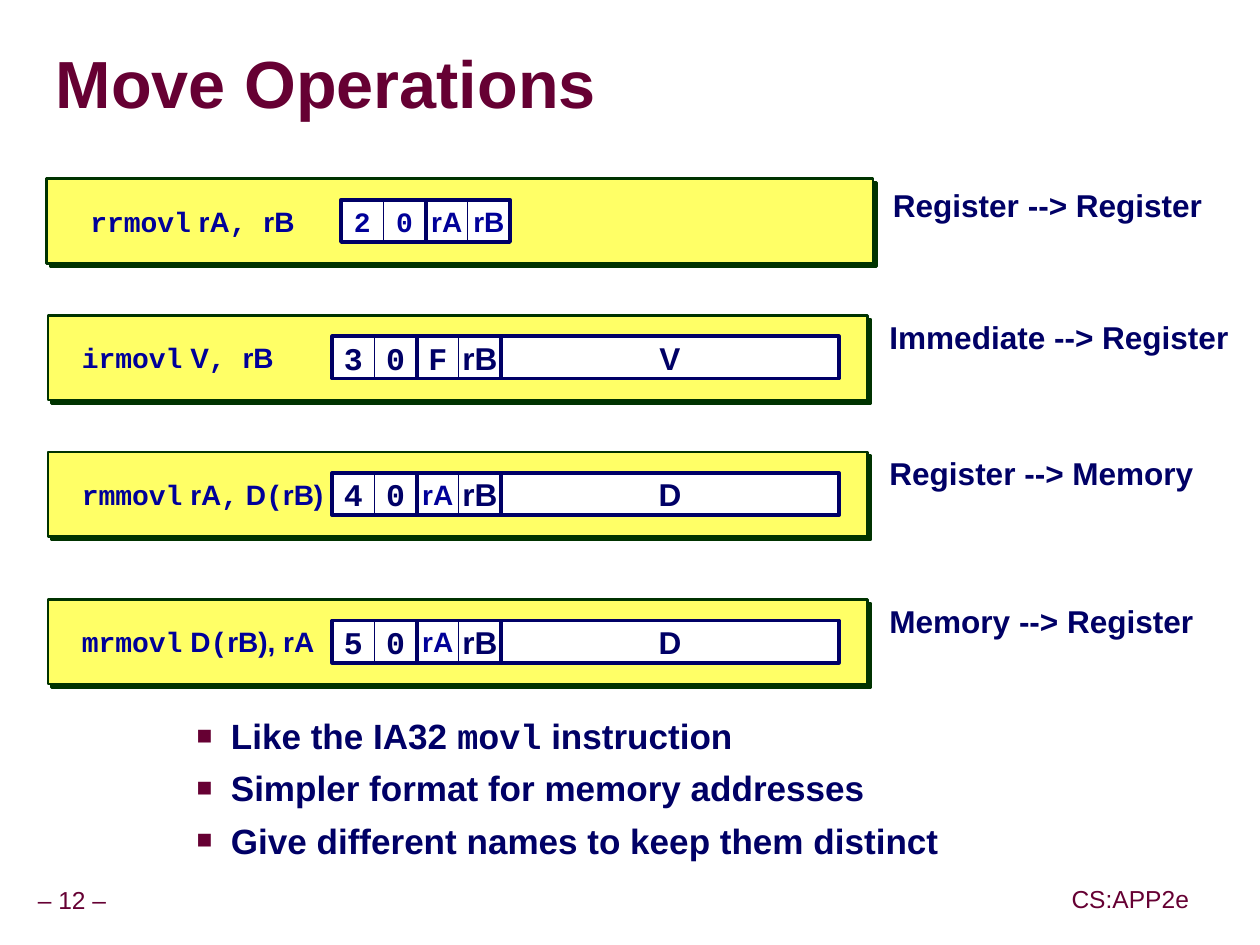
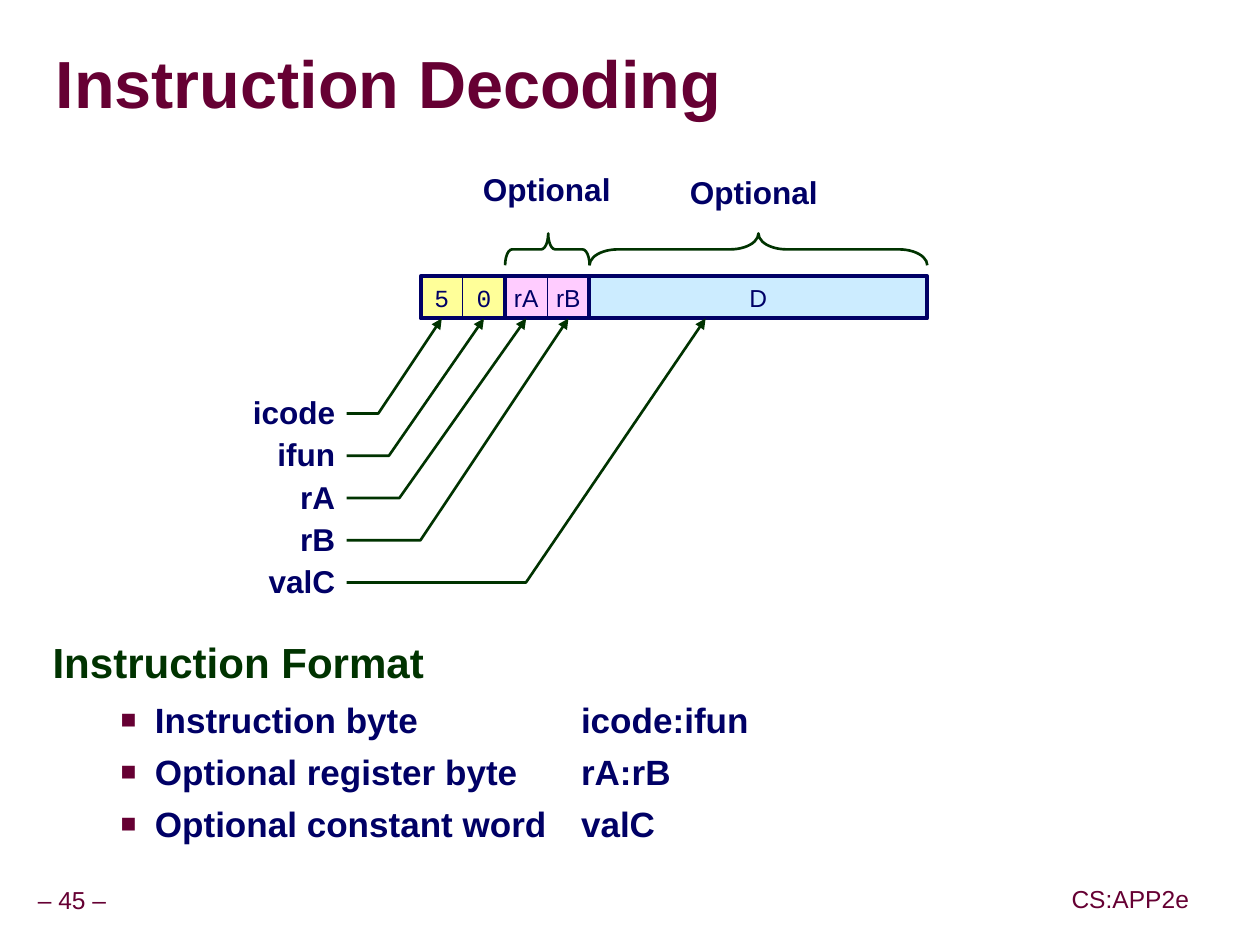
from lxml.etree import SubElement
from pptx import Presentation
from pptx.dml.color import RGBColor
from pptx.enum.shapes import MSO_SHAPE as Shape
from pptx.enum.text import MSO_ANCHOR as Anchor, MSO_AUTO_SIZE as AutoSize, PP_ALIGN as Align
from pptx.oxml import parse_xml
from pptx.oxml.ns import qn
from pptx.util import Cm, Pt

MAROON = RGBColor(0x66, 0x00, 0x33)
NAVY = RGBColor(0x00, 0x00, 0x66)
BLUE = RGBColor(0x00, 0x00, 0x99)
GREEN = RGBColor(0x00, 0x33, 0x00)
WHITE = RGBColor(0xFF, 0xFF, 0xFF)
YELLOW = RGBColor(0xFF, 0xFF, 0x66)
PALE_YELLOW = RGBColor(0xFF, 0xFF, 0x99)
PINK = RGBColor(0xFF, 0xCC, 0xFF)
SKY = RGBColor(0xCC, 0xEC, 0xFF)

SANS, MONO = "Arial", "Courier New"
CELL = 0.85          # side of a four-bit field, cm
CONSTANT_CELLS = 8   # width of the constant word, in fields
DRAWING_NS = "http://schemas.openxmlformats.org/drawingml/2006/main"


def write(paragraph, text, size=18, color=NAVY, bold=True, align=Align.LEFT, spacing=None, before=None):
    """Fill a paragraph; parts between backticks are set in the code font."""
    paragraph.alignment = align
    if spacing:
        paragraph.line_spacing = spacing
    if before is not None:
        paragraph.space_before = Pt(before)
    for index, part in enumerate(text.split("`")):
        if part:
            run = paragraph.add_run()
            run.text = part
            run.font.name = MONO if index % 2 else SANS
            run.font.size = Pt(size)
            run.font.bold = bold
            run.font.color.rgb = color


def add_shadow(effects, color, distance):
    effects.append(parse_xml(
        f'<a:outerShdw xmlns:a="{DRAWING_NS}" dist="{int(Pt(distance))}" dir="2700000" algn="ctr" '
        f'rotWithShape="0"><a:srgbClr val="{color}"/></a:outerShdw>'))


class Deck:
    """Holds the shared style and the slide being built."""

    def __init__(self):
        self.file = Presentation()
        self.file.slide_width, self.file.slide_height = Cm(25.37), Cm(19.02)
        self.slide = None

    def start(self, title, number):
        self.slide = self.file.slides.add_slide(self.file.slide_layouts[5])
        heading = self.slide.shapes.title
        heading.left, heading.top, heading.width, heading.height = Cm(1.12), Cm(0.69), Cm(24.18), Cm(2.16)
        self.frame(heading, inset=0, anchor=Anchor.MIDDLE, wrap=True)
        paragraph = heading.text_frame.paragraphs[0]
        write(paragraph, title, size=38, color=MAROON, spacing=0.87)
        properties = paragraph.runs[0].font._element
        effects = SubElement(properties, qn("a:effectLst"))
        properties.find(qn("a:solidFill")).addnext(effects)
        add_shadow(effects, "969696", 2.8)
        # Footer
        footer = dict(height=0.79, size=14, color=MAROON, bold=False, align=Align.CENTER,
                      anchor=Anchor.MIDDLE, spacing=0.9)
        self.label(f"– {number} –", 0.61, 17.75, 1.68, **footer)
        self.label("CS:APP2e", 21.44, 17.73, 2.64, **footer)

    def frame(self, shape, inset=0.13, anchor=Anchor.TOP, wrap=False):
        frame = shape.text_frame
        frame.auto_size = AutoSize.NONE
        frame.word_wrap = wrap
        frame.vertical_anchor = anchor
        frame.margin_left = frame.margin_right = Cm(inset)
        frame.margin_top = frame.margin_bottom = Cm(min(inset, 0.13))
        return frame

    def label(self, text, x, y, width, height=0.94, inset=0.13, anchor=Anchor.TOP, **style):
        box = self.slide.shapes.add_textbox(Cm(x), Cm(y), Cm(width), Cm(height))
        write(self.frame(box, inset, anchor).paragraphs[0], text, **style)

    def outline(self, shape, fill, line, weight):
        shape.shadow.inherit = False
        if fill is None:
            shape.fill.background()
        else:
            shape.fill.solid()
            shape.fill.fore_color.rgb = fill
        shape.line.color.rgb = line
        shape.line.width = Pt(weight)

    def box(self, x, y, width, height=CELL, fill=None, line=NAVY, weight=2.25, text="", **style):
        box = self.slide.shapes.add_shape(Shape.RECTANGLE, Cm(x), Cm(y), Cm(width), Cm(height))
        self.outline(box, fill, line, weight)
        if text:
            write(self.frame(box, 0, Anchor.MIDDLE).paragraphs[0], text, align=Align.CENTER, **style)
        return box

    def panel(self, x, y, width):
        panel = self.box(x, y, width, 1.7, fill=YELLOW, line=GREEN, weight=1.5)
        add_shadow(panel._element.spPr.find(qn("a:effectLst")), GREEN, 2.8)

    def instruction(self, x, y, fields, constant="", fills=(WHITE, WHITE, WHITE), special=None, **style):
        """Draw bytes of two fields each, then the constant word."""
        special = special or {}
        for index, field in enumerate(fields):
            self.box(x + index * CELL, y, CELL, fill=fills[index // 2], weight=0.5,
                     text=field, **{**style, **special.get(field, {})})
            if index % 2:
                self.box(x + (index - 1) * CELL, y, 2 * CELL)
        if constant:
            self.box(x + len(fields) * CELL, y, CONSTANT_CELLS * CELL, fill=fills[2], text=constant, **style)

    def brace(self, x, y, width, curl, tip):
        depth = 0.64
        brace = self.slide.shapes.add_shape(
            Shape.LEFT_BRACE, Cm(x + (width - depth) / 2), Cm(y + (depth - width) / 2), Cm(depth), Cm(width))
        brace.rotation = 90
        brace.adjustments[0], brace.adjustments[1] = curl, tip
        self.outline(brace, None, GREEN, 1.5)

    def leader(self, *points):
        start, *rest = [(Cm(x), Cm(y)) for x, y in points]
        builder = self.slide.shapes.build_freeform(*start)
        builder.add_line_segments(rest, close=False)
        leader = builder.convert_to_shape()
        self.outline(leader, None, GREEN, 1.5)
        SubElement(leader.line._get_or_add_ln(), qn("a:tailEnd"), type="triangle")

    def bullets(self, x, y, width, height, items, heading="", tab=None):
        box = self.slide.shapes.add_textbox(Cm(x), Cm(y), Cm(width), Cm(height))
        frame = self.frame(box, 0.25, wrap=True)
        paragraph = frame.paragraphs[0]
        if heading:
            write(paragraph, heading, size=24, color=GREEN, spacing=0.95)
        for index, item in enumerate(items):
            first = index == 0 and not heading
            if not first:
                paragraph = frame.add_paragraph()
            properties = paragraph._p.get_or_add_pPr()
            properties.set("marL", str(int(Cm(2.06))))
            properties.set("indent", str(int(Cm(-0.69))))
            SubElement(SubElement(properties, qn("a:buClr")), qn("a:srgbClr"), val=str(MAROON))
            SubElement(properties, qn("a:buSzPct"), val="75000")
            SubElement(properties, qn("a:buFont"), typeface=SANS)
            SubElement(properties, qn("a:buChar"), char="■")
            if tab:
                SubElement(SubElement(properties, qn("a:tabLst")), qn("a:tab"), pos=str(int(Cm(tab))), algn="l")
            write(paragraph, item, size=20, before=None if first else 5.8)


def move_operations(deck):
    deck.start("Move Operations", 12)
    deck.bullets(2.34, 14.25, 21.39, 4.32, [
        "Like the IA32 `movl` instruction",
        "Simpler format for memory addresses",
        "Give different names to keep them distinct"])
    small = dict(size=16, color=BLUE)

    # Register move: no constant word
    deck.panel(0.94, 3.6, 16.64)
    deck.label("`rrmovl` rA`, `rB", 1.57, 4.02, 5.28, CELL, 0.25, Anchor.MIDDLE, **small)
    deck.instruction(6.87, 4.02, ["`2`", "`0`", "rA", "rB"], **small)
    deck.label("Register --> Register", 17.85, 3.7, 6.48, spacing=0.9)

    # Moves with a constant word
    moves = [
        (6.35, "`irmovl` V`, `rB", ["`3`", "`0`", "`F`", "rB"], "V", "Immediate --> Register"),
        (9.1, "`rmmovl` rA`,` D`(`rB)", ["`4`", "`0`", "rA", "rB"], "D", "Register --> Memory"),
        (12.07, "`mrmovl` D`(`rB), rA", ["`5`", "`0`", "rA", "rB"], "D", "Memory --> Register"),
    ]
    for y, syntax, fields, constant, meaning in moves:
        deck.panel(0.97, y, 16.5)
        deck.label(syntax, 1.4, y + 0.42, 5.28, CELL, 0.25, Anchor.MIDDLE, **small)
        deck.instruction(6.69, y + 0.42, fields, constant, special={"rA": small})
        deck.label(meaning, 17.78, y, 7.09, spacing=0.9)


def instruction_decoding(deck):
    deck.start("Instruction Decoding", 45)
    deck.bullets(0.81, 12.75, 23.04, 5.16, [
        "Instruction byte\ticode:ifun",
        "Optional register byte\trA:rB",
        "Optional constant word\tvalC"], heading="Instruction Format", tab=10.64)

    # Encoded instruction
    left, top = 8.47, 5.56
    bottom = top + CELL
    deck.instruction(left, top, ["`5`", "`0`", "rA", "rB"], "D",
                     fills=(PALE_YELLOW, PINK, SKY), size=14, bold=False)

    # Field names with leaders: elbow and target are counted in fields
    leader_x = 6.98
    parts = [("icode", 0.75, 0.5), ("ifun", 1, 1.5), ("rA", 1.25, 2.5), ("rB", 1.75, 3.5), ("valC", 4.25, 6.75)]
    for row, (name, elbow, target) in enumerate(parts):
        deck.label(name, 4.24, 7.87 + row * CELL, 2.64, align=Align.RIGHT, spacing=0.9)
        y = bottom + (2.25 + row) * CELL
        deck.leader((leader_x, y), (leader_x + elbow * CELL, y), (left + target * CELL, bottom))

    # Optional parts
    deck.brace(left + 2 * CELL, 4.7, 2 * CELL, 0.22, 0.49)
    deck.brace(left + 4 * CELL, 4.7, CONSTANT_CELLS * CELL, 0.89, 0.5)
    for x, y in [(9.6, 3.38), (13.77, 3.43)]:
        deck.label("Optional", x, y, 2.82, align=Align.CENTER, spacing=0.9)


def main():
    deck = Deck()
    move_operations(deck)
    instruction_decoding(deck)
    deck.file.save("out.pptx")


if __name__ == "__main__":
    main()
